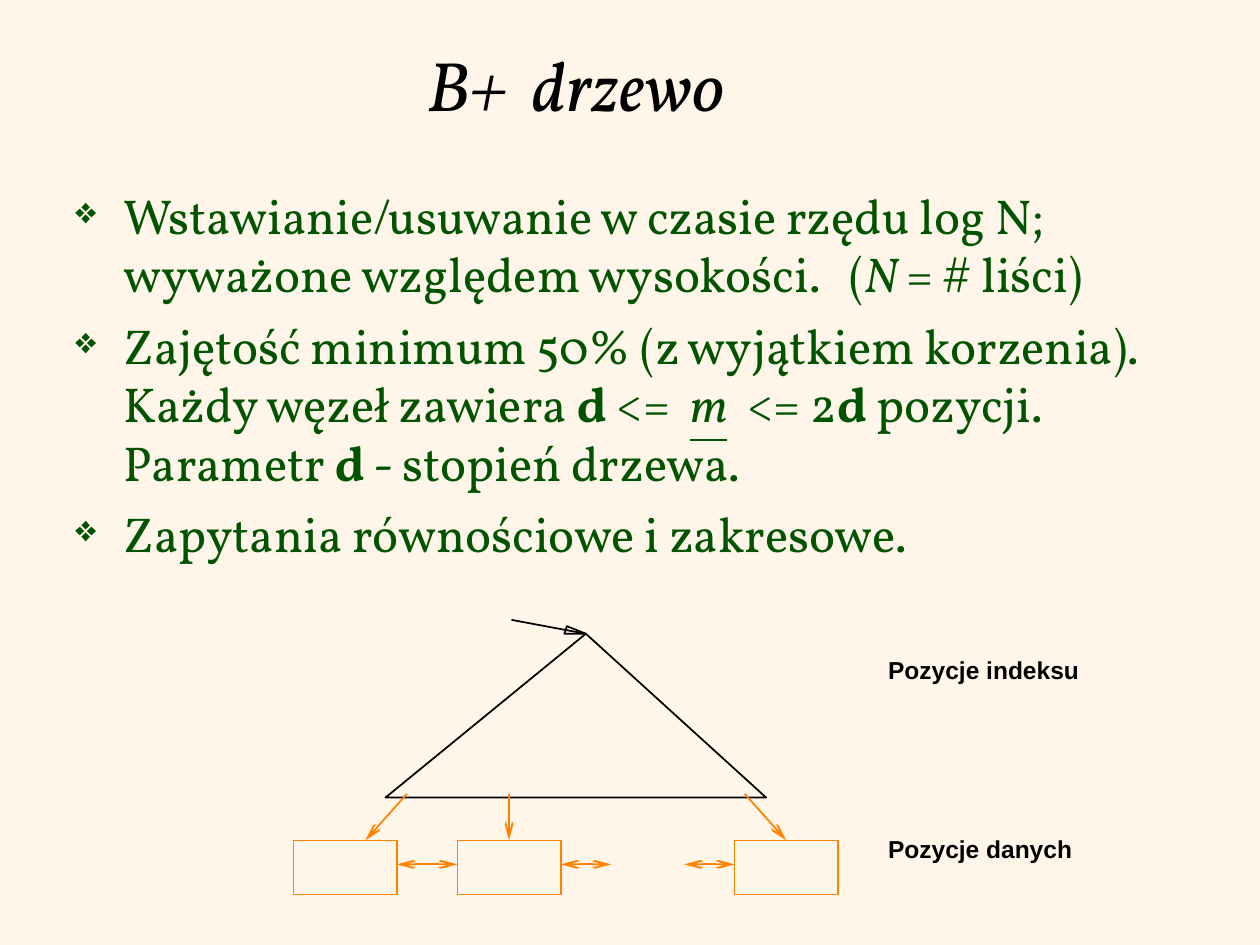
from lxml import etree
from pptx import Presentation
from pptx import util as u
from pptx.dml.color import RGBColor
from pptx.enum import shapes, text
from pptx.oxml.ns import qn

COLORS = {"paper": "FFF6E9", "ink": "000000", "green": "005400", "orange": "FF8200"}
SERIF, SANS = "Vollkorn", "Arial"


class SlideBuilder:
    """Holds the style and the current slide."""

    def __init__(self, deck):
        self.page = deck.slides.add_slide(deck.slide_layouts[6])
        fill = self.page.background.fill
        fill.solid()
        fill.fore_color.rgb = self.color("paper")

    def color(self, name):
        return RGBColor.from_string(COLORS[name])

    def style_line(self, line, color):
        line.color.rgb = self.color(color)
        line.width = u.Pt(1)

    def style_span(self, span, font, size, color, marks=""):
        span.font.name, span.font.size = font, u.Pt(size)
        span.font.color.rgb = self.color(color)
        span.font.bold = "b" in marks
        span.font.italic = "i" in marks
        span.font.underline = "u" in marks

    def text_box(self, left, top, width, height, wrap=True):
        box = self.page.shapes.add_textbox(*map(u.Inches, (left, top, width, height)))
        box.text_frame.word_wrap = wrap
        return box.text_frame

    def title(self, words, *place):
        frame = self.text_box(*place)
        frame.text = words
        frame.vertical_anchor = text.MSO_ANCHOR.MIDDLE
        para = frame.paragraphs[0]
        para.alignment = text.PP_ALIGN.CENTER
        self.style_span(para.runs[0], SERIF, 40, "ink", "i")

    def label(self, words, *place):
        frame = self.text_box(*place, wrap=False)
        frame.text = words
        self.style_span(frame.paragraphs[0].runs[0], SANS, 14, "ink", "b")

    def bullets(self, items, *place):
        frame = self.text_box(*place)
        for number, spans in enumerate(items):
            para = frame.add_paragraph() if number else frame.paragraphs[0]
            para.space_before = u.Pt(7)
            for words, marks in spans:
                span = para.add_run()
                span.text = words
                self.style_span(span, SERIF, 28, "green", marks)
            self.add_bullet(para)

    def add_bullet(self, para):
        props = para._p.get_or_add_pPr()
        props.set("marL", str(u.Inches(0.38)))
        props.set("indent", str(-u.Inches(0.38)))
        tint = etree.SubElement(props, qn("a:buClr"))
        etree.SubElement(tint, qn("a:srgbClr"), val=COLORS["green"])
        etree.SubElement(props, qn("a:buSzPct"), val="75000")
        etree.SubElement(props, qn("a:buChar"), char="❖")

    def outline(self, points, color):
        start, *rest = [tuple(map(u.Inches, point)) for point in points]
        builder = self.page.shapes.build_freeform(*start)
        builder.add_line_segments(rest, close=True)
        self.finish(builder.convert_to_shape(), color)

    def rectangle(self, color, *place):
        box = self.page.shapes.add_shape(
            shapes.MSO_SHAPE.RECTANGLE, *map(u.Inches, place))
        self.finish(box, color)

    def finish(self, shape, color):
        shape.shadow.inherit = False
        shape.fill.background()
        self.style_line(shape.line, color)

    def line(self, start, end, color, heads=()):
        link = self.page.shapes.add_connector(
            shapes.MSO_CONNECTOR.STRAIGHT, *map(u.Inches, (*start, *end)))
        self.style_line(link.line, color)
        stroke = link.line._get_or_add_ln()
        for head in heads:
            etree.SubElement(stroke, qn(f"a:{head}"), type="arrow", w="sm", len="lg")
        etree.SubElement(link._element.spPr, qn("a:effectLst"))


def main():
    deck = Presentation()
    deck.slide_width, deck.slide_height = u.Inches(10), u.Inches(7.5)
    slide = SlideBuilder(deck)

    # Title and bullet list
    slide.title("B+  drzewo ", 1.58, 0.25, 6.08, 0.83)
    slide.bullets([
        [("Wstawianie/usuwanie w czasie rzędu log N; "
          "wyważone względem wysokości.   (", ""), ("N ", "i"), ("= # liści)", "")],
        [("Zajętość minimum 50% (z wyjątkiem korzenia).  Każdy węzeł zawiera ", ""),
         ("d", "b"), (" <=  ", ""), ("m", "iu"), ("  <= 2", ""), ("d", "b"),
         (" pozycji.  Parametr ", ""), ("d", "b"), (" - stopień drzewa.", "")],
        [("Zapytania równościowe i zakresowe.", "")],
    ], 0.5, 1.42, 9.08, 3.25)

    # Index triangle and the pointer to its root
    root = (4.65, 5.03)
    slide.outline([(3.06, 6.33), root, (6.08, 6.33)], "ink")
    slide.line((4.06, 4.92), root, "ink")
    slide.outline([(4.5, 4.97), root, (4.48, 5.03)], "ink")

    # Data pages
    page_top, page_width, page_height = 6.67, 0.82, 0.43
    for left in (2.33, 3.63, 5.83):
        slide.rectangle("orange", left, page_top, page_width, page_height)

    # Links between neighbouring pages
    for left, right in ((3.15, 3.63), (4.45, 4.85), (5.43, 5.83)):
        slide.line((left, 6.86), (right, 6.86), "orange", ("headEnd", "tailEnd"))

    # Pointers from the index down to the pages
    for above, below in ((3.23, 2.9), (4.04, 4.04), (5.91, 6.24)):
        slide.line((above, 6.3), (below, page_top), "orange", ("tailEnd",))

    # Level labels
    slide.label("Pozycje indeksu", 6.95, 5.15, 1.72, 0.33)
    slide.label("Pozycje danych", 6.95, 6.57, 1.66, 0.33)

    deck.save("out.pptx")


if __name__ == "__main__":
    main()
